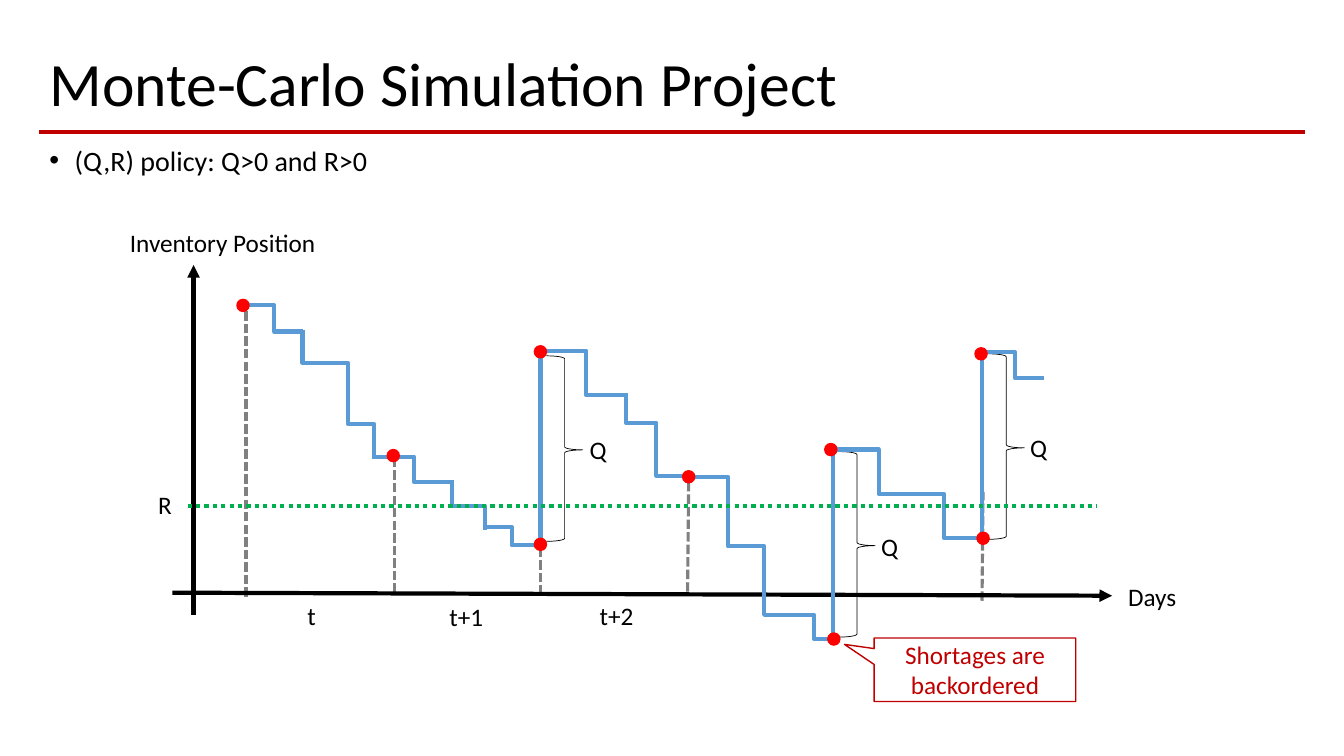
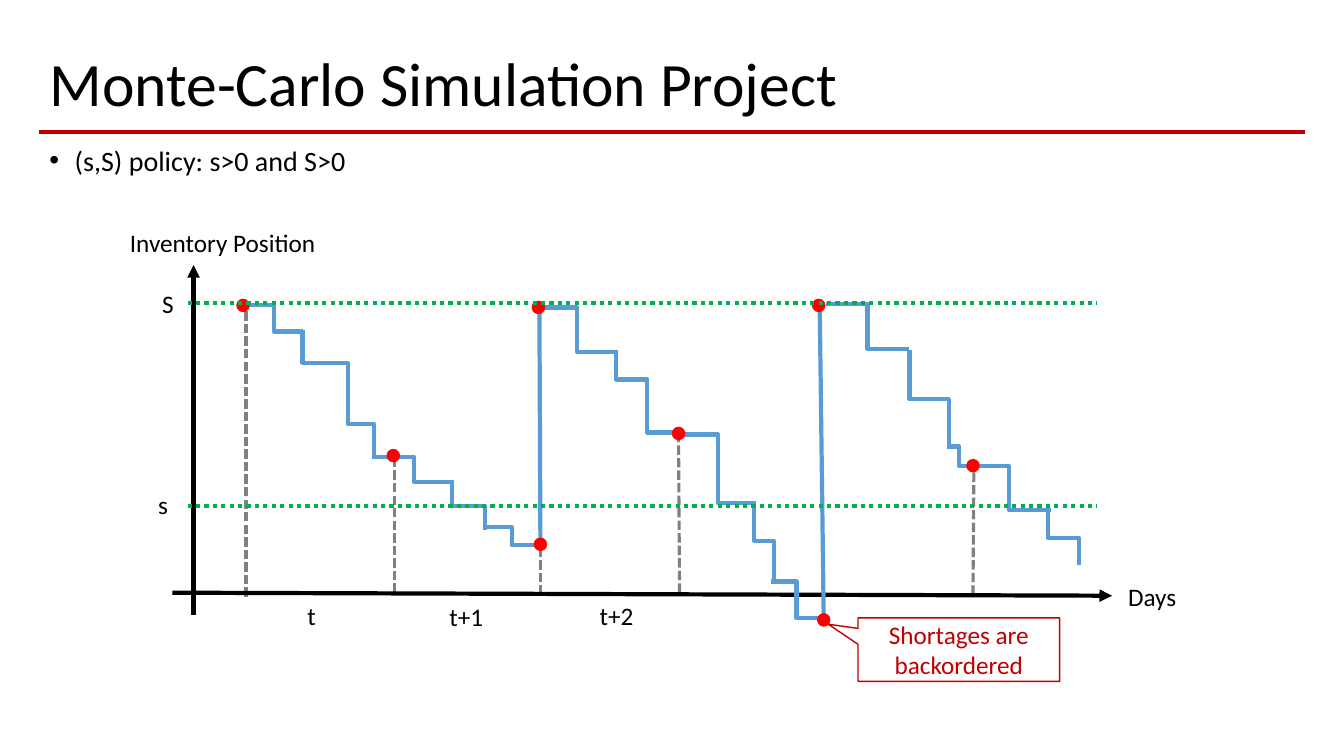
from pptx import Presentation
from pptx.dml.color import RGBColor
from pptx.enum import dml, shapes, text
from pptx.oxml import ns, xmlchemy
from pptx.util import Inches, Pt

FONT = "Calibri"
BLACK, RED, DOT_RED = "000000", "C00000", "FF0000"
BLUE, GREEN, GREY = "5B9BD5", "00B050", "808080"
DOT, LABEL_HEIGHT = 0.12, 0.4
BRACE_SIZE = (0.36, 1.84)
CALLOUT_SIZE = (2, 0.63)

TITLE = "Monte-Carlo Simulation Project"
TITLE_BOX = (0.39, 0.4, 12.55, 0.92)
BODY_BOX = (0.39, 1.44, 12.72, 5.32)
RULE = (0.39, 1.31, 12.94, 1.31)
SHORTAGE = "Shortages are backordered"

# Lines are x1, y1, x2, y2; labels are text, left, top, width; dots are centres.
# Steps add the direction they leave in: "h" across, "v" down, "L" down then across.
AXES = [(1.92, 6.1, 1.92, 2.63), (1.71, 5.88, 11.03, 5.91)]
AXIS_LABELS = [
    ("Inventory Position", 1.19, 2.21, 2.14), ("Days", 11.09, 5.72, 0.8),
    ("t", 2.95, 5.91, 0.8), ("t+1", 4.36, 5.92, 0.8), ("t+2", 5.85, 5.91, 0.8),
]
FIRST_DAYS = {
    "dashes": [(2.44, 5.92, 2.44, 3.02), (3.91, 5.88, 3.91, 4.46),
               (5.36, 5.9, 5.36, 5.28)],
    "steps": [
        (2.43, 3.03, 3.01, 3.29, "h"), (3, 3.27, 3.45, 3.93, "v"),
        (3.45, 3.86, 3.71, 4.55, "v"), (3.71, 4.53, 4.5, 4.78, "h"),
        (4.48, 4.78, 4.81, 5.26, "v"), (4.8, 5.23, 5.35, 5.41, "h"),
    ],
    "dots": [(2.41, 3.03), (3.9, 4.52), (5.36, 5.4)],
}
POLICIES = [
    {
        "policy": "(Q,R) policy: Q>0 and R>0",
        "levels": [5.02],
        "labels": [("R", 1.47, 4.81, 0.54), ("Q", 5.75, 4.26, 0.54),
                   ("Q", 8.64, 5.22, 0.54), ("Q", 10.12, 4.24, 0.54)],
        "dashes": [(6.82, 5.87, 6.83, 4.79), (9.74, 5.96, 9.75, 4.88)],
        "orders": [(5.36, 5.39, 5.36, 3.53), (8.26, 6.34, 8.26, 4.49),
                   (9.74, 5.36, 9.74, 3.51)],
        "braces": [(5.42, 3.53), (8.32, 4.48), (9.8, 3.51)],
        "steps": [
            (5.4, 3.48, 6.23, 3.92, "h"), (6.21, 3.92, 6.51, 4.47, "v"),
            (6.51, 4.4, 6.77, 4.72, "L"), (6.87, 4.73, 7.57, 5.42, "h"),
            (7.23, 5.42, 7.93, 6.1, "h"), (7.89, 6.1, 8.26, 6.34, "h"),
            (8.3, 4.46, 9.13, 4.9, "h"), (8.95, 4.9, 9.78, 5.34, "h"),
            (9.78, 3.49, 10.35, 3.75, "h"),
        ],
        "dots": [(5.36, 3.49), (6.83, 4.73), (8.27, 6.34), (8.24, 4.46),
                 (9.75, 5.34), (9.73, 3.51)],
        "callout": (8.67, 6.33),
    },
    {
        "policy": "(s,S) policy: s>0 and S>0",
        "levels": [5.02, 3.01],
        "labels": [("s", 1.47, 4.81, 0.54), ("S", 1.51, 2.81, 0.54)],
        "dashes": [(6.74, 5.88, 6.73, 4.36), (9.65, 5.9, 9.66, 4.58)],
        "orders": [(5.36, 5.39, 5.35, 3.09), (8.17, 6.13, 8.13, 3.03)],
        "braces": [],
        "steps": [
            (5.31, 3.05, 6.13, 3.49, "h"), (6.11, 3.49, 6.42, 4.04, "v"),
            (6.42, 3.97, 6.68, 4.29, "L"), (6.77, 4.31, 7.47, 4.99, "h"),
            (7.48, 4.97, 7.68, 5.77, "v"), (7.65, 5.77, 8.15, 6.13, "h"),
            (8.19, 3.02, 9.02, 3.46, "h"), (9.02, 3.47, 9.41, 4.45, "v"),
            (9.41, 4.43, 9.62, 4.62, "h"), (9.59, 4.62, 10.42, 5.06, "h"),
            (10.39, 5.06, 10.7, 5.61, "v"),
        ],
        "dots": [(5.34, 3.05), (6.73, 4.3), (8.17, 6.15), (8.12, 3.03),
                 (9.65, 4.62)],
        "callout": (8.51, 6.13),
    },
]


def rgb(value):
    """Return a colour from a hex string."""
    return RGBColor.from_string(value)


def inches(values):
    """Convert numbers to lengths."""
    return [Inches(v) for v in values]


def place(sp, box):
    """Move and size a shape."""
    sp.left, sp.top, sp.width, sp.height = inches(box)


def write(sp, words, size, color=BLACK, align=text.PP_ALIGN.LEFT):
    """Set one formatted paragraph and return it."""
    sp.text_frame.text = words
    p = sp.text_frame.paragraphs[0]
    p.alignment = align
    r = p.runs[0]
    r.font.name, r.font.size = FONT, Pt(size)
    r.font.color.rgb = rgb(color)
    return p


def add_line(s, ends, color, width, dash=None, arrow=False,
             kind=shapes.MSO_CONNECTOR.STRAIGHT):
    """Add a connector without a shadow."""
    c = s.shapes.add_connector(kind, *inches(ends))
    c.line.color.rgb, c.line.width = rgb(color), Pt(width)
    if dash:
        c.line.dash_style = dash
    if arrow:
        ln = c.element.xpath(".//a:ln")[0]
        ln.append(xmlchemy.OxmlElement("a:tailEnd"))
        ln[-1].set("type", "triangle")
    c.element.spPr.append(xmlchemy.OxmlElement("a:effectLst"))
    return c


def add_step(s, x1, y1, x2, y2, way):
    """Add an elbow; one that leaves downwards is a turned and flipped one."""
    ends = (x1, y1, x2, y2)
    if way != "h":
        mid_x, mid_y = (x1 + x2) / 2, (y1 + y2) / 2
        half_w, half_h = (y2 - y1) / 2, (x2 - x1) / 2
        ends = (mid_x - half_w, mid_y - half_h, mid_x + half_w, mid_y + half_h)
    c = add_line(s, ends, BLUE, 3, kind=shapes.MSO_CONNECTOR.ELBOW)
    if way != "h":
        xfrm = c.element.spPr.find(ns.qn("a:xfrm"))
        xfrm.set("rot", "16200000")
        xfrm.set("flipH", "1")
    if way == "L":
        c.element.spPr.find(ns.qn("a:prstGeom")).set("prst", "bentConnector2")


def add_shape(s, kind, box, color, width, fill=None):
    """Add an outlined preset shape, filled on request."""
    sp = s.shapes.add_shape(kind, *inches(box))
    sp.shadow.inherit = False
    sp.line.color.rgb, sp.line.width = rgb(color), Pt(width)
    if fill:
        sp.fill.solid()
        sp.fill.fore_color.rgb = rgb(fill)
    else:
        sp.fill.background()
    return sp


def add_label(s, words, left, top, width):
    """Add a wrapped text label."""
    sp = s.shapes.add_textbox(*inches((left, top, width, LABEL_HEIGHT)))
    sp.text_frame.word_wrap = True
    write(sp, words, 18)


def add_heading(s, policy):
    """Fill the title and the bulleted policy."""
    title, body = s.shapes.title, s.placeholders[1]
    write(title, TITLE, 44).line_spacing = 0.9
    title.text_frame.vertical_anchor = text.MSO_ANCHOR.MIDDLE
    p = write(body, policy, 20)
    p.line_spacing, p.space_before = 0.8, Pt(10)
    pPr = p.runs[0].font._element.getparent().getparent().get_or_add_pPr()
    pPr.set("marL", str(Inches(0.25)))
    pPr.set("indent", str(Inches(-0.25)))


def add_diagram(s, data):
    """Draw the inventory position over the days."""
    for ends in FIRST_DAYS["dashes"] + data["dashes"]:
        add_line(s, ends, GREY, 2.25, dml.MSO_LINE.SQUARE_DOT)
    for ends in AXES:
        add_line(s, ends, BLACK, 3, arrow=True)
    for ends in data["orders"]:
        add_line(s, ends, BLUE, 3)
    for corner in data["braces"]:
        sp = add_shape(s, shapes.MSO_SHAPE.LEFT_BRACE, corner + BRACE_SIZE, BLACK, 0.5)
        sp.rotation = 180
        sp.adjustments[0], sp.adjustments[1] = 0.083, 0.493
    for step in FIRST_DAYS["steps"] + data["steps"]:
        add_step(s, *step)
    for x, y in FIRST_DAYS["dots"] + data["dots"]:
        box = (x - DOT / 2, y - DOT / 2, DOT, DOT)
        add_shape(s, shapes.MSO_SHAPE.OVAL, box, DOT_RED, 1, DOT_RED)
    for y in data["levels"]:
        add_line(s, (1.86, y, 10.88, y), GREEN, 3, dml.MSO_LINE.ROUND_DOT)
    for label in AXIS_LABELS + data["labels"]:
        add_label(s, *label)
    sp = add_shape(s, shapes.MSO_SHAPE.RECTANGULAR_CALLOUT,
                   data["callout"] + CALLOUT_SIZE, RED, 1)
    sp.adjustments[0], sp.adjustments[1] = -0.647, -0.399
    sp.text_frame.vertical_anchor = text.MSO_ANCHOR.MIDDLE
    write(sp, SHORTAGE, 18, RED, text.PP_ALIGN.CENTER)


def add_rule(layout, s):
    """Draw the red title rule and move it to the layout."""
    layout.shapes.element.append(add_line(s, RULE, RED, 2.25).element)


prs = Presentation()
prs.slide_width, prs.slide_height = Inches(13.33), Inches(7.5)
layout = prs.slide_layouts[1]
for sp, box in zip(layout.placeholders, (TITLE_BOX, BODY_BOX)):
    place(sp, box)
    sp.text_frame.auto_size = text.MSO_AUTO_SIZE.NONE

for number, data in enumerate(POLICIES):
    s = prs.slides.add_slide(layout)
    if number == 0:
        add_rule(layout, s)
    add_heading(s, data["policy"])
    add_diagram(s, data)

prs.save("out.pptx")
